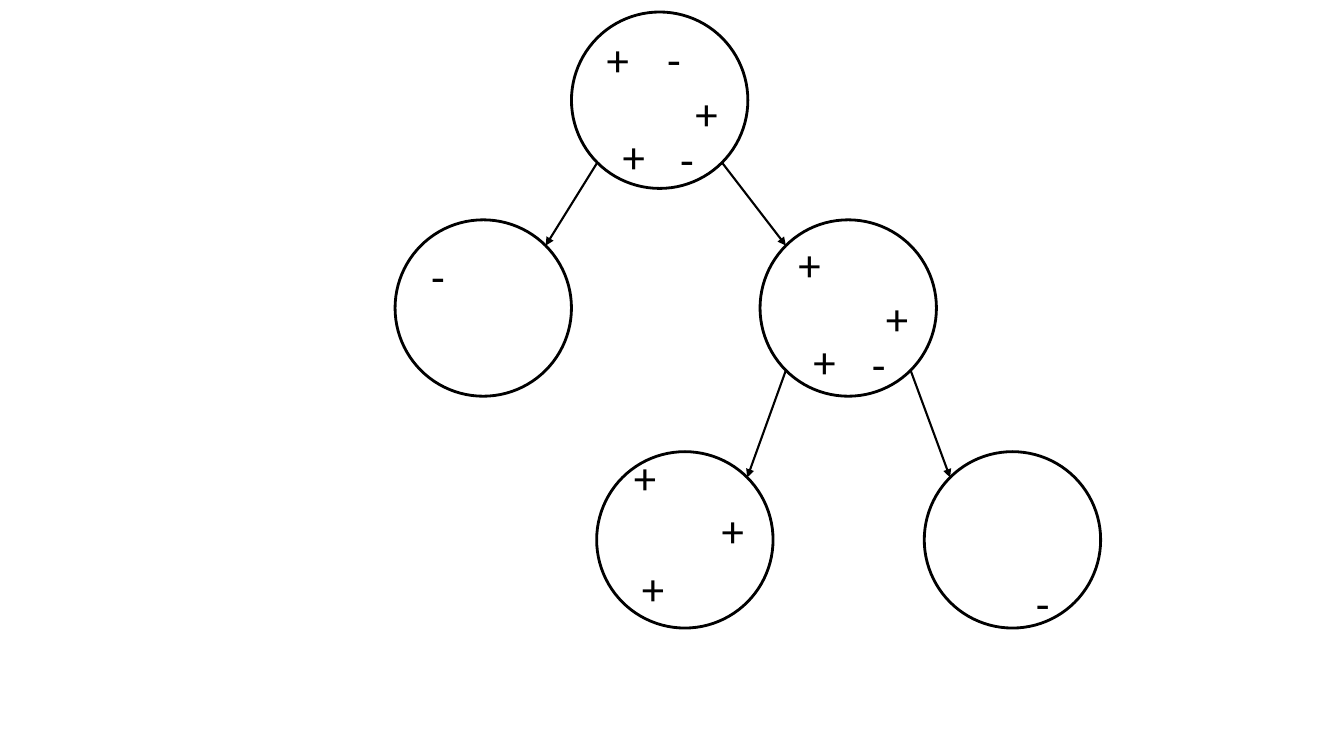
from lxml import etree
from pptx import Presentation
from pptx import util as u
from pptx.dml.color import RGBColor
from pptx.enum import shapes, text
from pptx.oxml.ns import qn

Pt = u.Pt
BLACK = RGBColor(0, 0, 0)
DIAMETER = 126
MARK_W, MARK_H = 13.7, 46.1

# Node: left and top of the circle
NODES = {
    "root": (408.2, 8.6),
    "minus leaf": (282.2, 157),
    "right": (542.9, 157),
    "last leaf": (660.2, 322.6),
    "plus leaf": (426.2, 322.6),
}

# Parent, child, side of the parent (-1 left, 1 right)
EDGES = [
    ("root", "minus leaf", -1),
    ("root", "right", 1),
    ("right", "plus leaf", -1),
    ("right", "last leaf", 1),
]

# Samples in each node: sign and offset from the circle's corner
SAMPLES = {
    "root": [("+", 18, 10.8), ("+", 81.4, 49), ("+", 29.5, 79.9),
             ("-", 61.2, 10.8), ("-", 70.6, 82.1)],
    "minus leaf": [("-", 18.7, 17.3)],
    "plus leaf": [("+", 25.2, 74.2), ("+", 19.4, -5), ("+", 82.1, 33.1)],
    "last leaf": [("-", 72.7, 85)],
    "right": [("+", 20.2, 8.6), ("+", 82.8, 46.8), ("+", 31, 77.8),
              ("-", 72.7, 79.9)],
}


def write(tf, content, size=32, font="Calibri", color=BLACK):
    r = tf.paragraphs[0].add_run()
    r.text = content
    r.font.size, r.font.name = Pt(size), font
    r.font.color.rgb = color


class TreeSlide:
    """Draws the tree's elements in one group on a slide."""

    def __init__(self, slide, color=BLACK, outline=2, arrow=1.5):
        self.s = slide
        self.group = slide.shapes.add_group_shape().shapes
        self.color, self.outline, self.arrow_width = color, outline, arrow

    def circle(self, x, y):
        sp = self.group.add_shape(shapes.MSO_SHAPE.FLOWCHART_CONNECTOR,
                                  Pt(x), Pt(y), Pt(DIAMETER), Pt(DIAMETER))
        sp.shadow.inherit = False
        sp.fill.background()
        sp.line.color.rgb = self.color
        sp.line.width = Pt(self.outline)

    def arrow(self, start, end):
        sp = self.group.add_connector(shapes.MSO_CONNECTOR.STRAIGHT,
                                      *map(Pt, start + end))
        sp.line.color.rgb = self.color
        sp.line.width = Pt(self.arrow_width)
        etree.SubElement(sp.line._get_or_add_ln(), qn("a:tailEnd"), type="triangle")
        etree.SubElement(sp._element.spPr, qn("a:effectLst"))

    def mark(self, sign, x, y):
        sp = self.group.add_textbox(Pt(x), Pt(y), Pt(MARK_W), Pt(MARK_H))
        tf = sp.text_frame
        tf.word_wrap = True
        tf.auto_size = text.MSO_AUTO_SIZE.SHAPE_TO_FIT_TEXT
        tf.margin_right = 0
        write(tf, sign, color=self.color)


def rim(node, dx, dy):
    """Point on a node's circle in a diagonal direction."""
    x, y = NODES[node]
    radius = DIAMETER / 2
    reach = radius * 0.5 ** 0.5
    return x + radius + dx * reach, y + radius + dy * reach


def main():
    prs = Presentation()
    prs.slide_width, prs.slide_height = Pt(960), Pt(540)
    tree = TreeSlide(prs.slides.add_slide(prs.slide_layouts[6]))

    # Nodes
    for corner in NODES.values():
        tree.circle(*corner)

    # Branches
    for parent, child, side in EDGES:
        tree.arrow(rim(parent, side, 1), rim(child, -side, -1))

    # Samples
    for node, samples in SAMPLES.items():
        x, y = NODES[node]
        for sign, dx, dy in samples:
            tree.mark(sign, x + dx, y + dy)

    prs.save("out.pptx")


if __name__ == "__main__":
    main()
